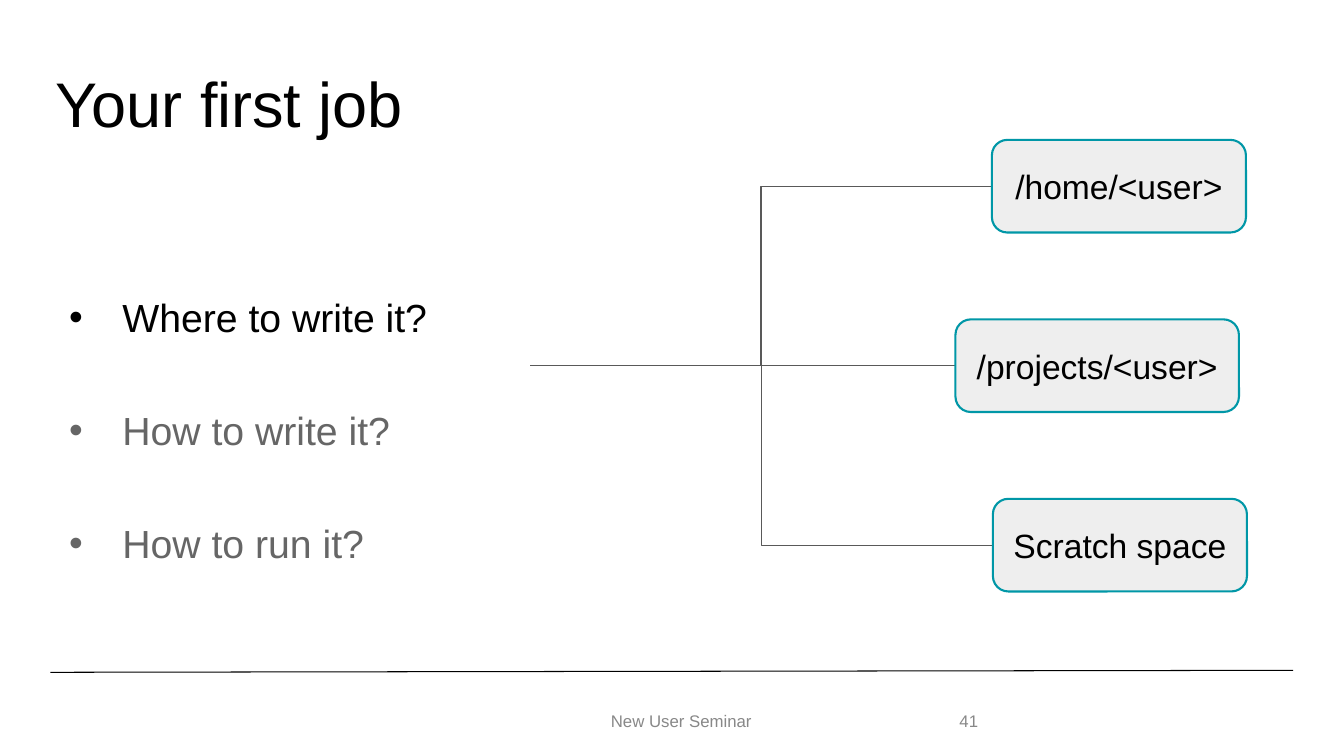
import pptx
import pptx.util
import pptx.dml.color
import pptx.enum.shapes
import pptx.enum.text
import pptx.oxml.ns
import lxml.etree

Pt = pptx.util.Pt
ALIGN = pptx.enum.text.PP_ALIGN
ANCHOR = pptx.enum.text.MSO_ANCHOR
CONNECTOR = pptx.enum.shapes.MSO_CONNECTOR
ROUNDED = pptx.enum.shapes.MSO_SHAPE.ROUNDED_RECTANGLE

COLORS = {
    "ink": "000000",
    "muted": "666666",
    "footer": "888888",
    "branch": "595959",
    "box": "EEEEEE",
    "teal": "0097A7",
}

TITLE = "Your first job"
QUESTIONS = [
    ("Where to write it?", "ink"),
    ("How to write it?", "muted"),
    ("How to run it?", "muted"),
]
FOOTER = "New User Seminar"
PAGE = "41"
LOCATIONS = [
    ("/home/<user>", 708.5, 181.5),
    ("/projects/<user>", 682.5, 202.5),
    ("Scratch space", 709.2, 181.5),
]

TITLE_AREA = (32.4, 46.8, 894.24, 59.76)
QUESTION_AREA = (32.4, 169.2, 369.36, 280.08)
FOOTER_AREA = (324.72, 500.4, 324, 28.8)
PAGE_AREA = (678.24, 500.4, 54, 28.8)
RULE = (36, 480.24, 923.76, 478.8)
BRANCH_START = (378.72, 260.9)
BOX_TOP, BOX_HEIGHT, BOX_PITCH = 99.9, 66.2, 128.2
HANGING = {"marL": Pt(48), "indent": Pt(-38)}


def color(name):
    """Return the named colour."""
    return pptx.dml.color.RGBColor.from_string(COLORS[name])


def apply(target, values):
    """Set each attribute in values on the target."""
    for key, value in values.items():
        setattr(target, key, value)


def set_font(paragraph, size, ink):
    """Style the text of a paragraph."""
    apply(paragraph.font, {"name": "Arial", "size": Pt(size)})
    paragraph.font.color.rgb = color(ink)


def set_frame(frame, anchor, inset_x, inset_y):
    """Set wrapping, anchor and insets of a text frame."""
    apply(frame, {
        "word_wrap": True,
        "vertical_anchor": anchor,
        "margin_left": Pt(inset_x),
        "margin_right": Pt(inset_x),
        "margin_top": Pt(inset_y),
        "margin_bottom": Pt(inset_y),
    })


def add_text(slide, area, anchor=ANCHOR.MIDDLE):
    """Add an empty text box and return its frame."""
    frame = slide.shapes.add_textbox(*map(Pt, area)).text_frame
    set_frame(frame, anchor, 7.2, 3.6)
    return frame


def add_label(slide, area, text, size, ink, **layout):
    """Add a text box with one paragraph."""
    paragraph = add_text(slide, area).paragraphs[0]
    paragraph.text = text
    apply(paragraph, layout)
    set_font(paragraph, size, ink)


def add_bullet(paragraph, ink):
    """Give a paragraph a coloured hanging bullet."""
    properties = paragraph._p.get_or_add_pPr()
    for key, value in HANGING.items():
        properties.set(key, str(value))
    qn = pptx.oxml.ns.qn
    tint = lxml.etree.SubElement(properties, qn("a:buClr"))
    lxml.etree.SubElement(tint, qn("a:srgbClr"), val=COLORS[ink])
    lxml.etree.SubElement(properties, qn("a:buFont"), typeface="Arial")
    lxml.etree.SubElement(properties, qn("a:buChar"), char="•")


def add_questions(slide):
    """Add the bulleted questions."""
    frame = add_text(slide, QUESTION_AREA, ANCHOR.TOP)
    for index, (question, ink) in enumerate(QUESTIONS):
        paragraph = frame.add_paragraph() if index else frame.paragraphs[0]
        paragraph.text = question
        add_bullet(paragraph, ink)
        apply(paragraph, {"line_spacing": 2.1, "space_before": Pt(10 if index else 0)})
        set_font(paragraph, 28, ink)


def add_line(slide, kind, ends, ink):
    """Add a thin connector without a shadow."""
    line = slide.shapes.add_connector(kind, *map(Pt, ends))
    line.line.width = Pt(0.75)
    line.line.color.rgb = color(ink)
    lxml.etree.SubElement(line._element.spPr, pptx.oxml.ns.qn("a:effectLst"))


def add_location(slide, index, name, left, width):
    """Add one storage location and the branch that leads to it."""
    top = BOX_TOP + index * BOX_PITCH
    middle = top + BOX_HEIGHT / 2
    kind = CONNECTOR.STRAIGHT if index == 1 else CONNECTOR.ELBOW
    end_y = BRANCH_START[1] if index == 1 else middle
    add_line(slide, kind, (*BRANCH_START, left, end_y), "branch")
    box = slide.shapes.add_shape(ROUNDED, *map(Pt, (left, top, width, BOX_HEIGHT)))
    box.shadow.inherit = False
    box.fill.solid()
    box.fill.fore_color.rgb = color("box")
    box.line.color.rgb = color("teal")
    box.line.width = Pt(1.5)
    set_frame(box.text_frame, ANCHOR.MIDDLE, 9.36, 9.36)
    paragraph = box.text_frame.paragraphs[0]
    paragraph.text = name
    paragraph.alignment = ALIGN.CENTER
    set_font(paragraph, 24, "ink")


def main():
    """Build the slide and save it."""
    deck = pptx.Presentation()
    apply(deck, {"slide_width": Pt(960), "slide_height": Pt(540)})
    slide = deck.slides.add_slide(deck.slide_layouts[6])
    add_line(slide, CONNECTOR.STRAIGHT, RULE, "ink")
    add_label(slide, TITLE_AREA, TITLE, 45, "ink", line_spacing=0.9)
    add_questions(slide)
    add_label(slide, FOOTER_AREA, FOOTER, 12, "footer", alignment=ALIGN.CENTER)
    add_label(slide, PAGE_AREA, PAGE, 12, "footer")
    for index, location in enumerate(LOCATIONS):
        add_location(slide, index, *location)
    deck.save("out.pptx")


if __name__ == "__main__":
    main()
